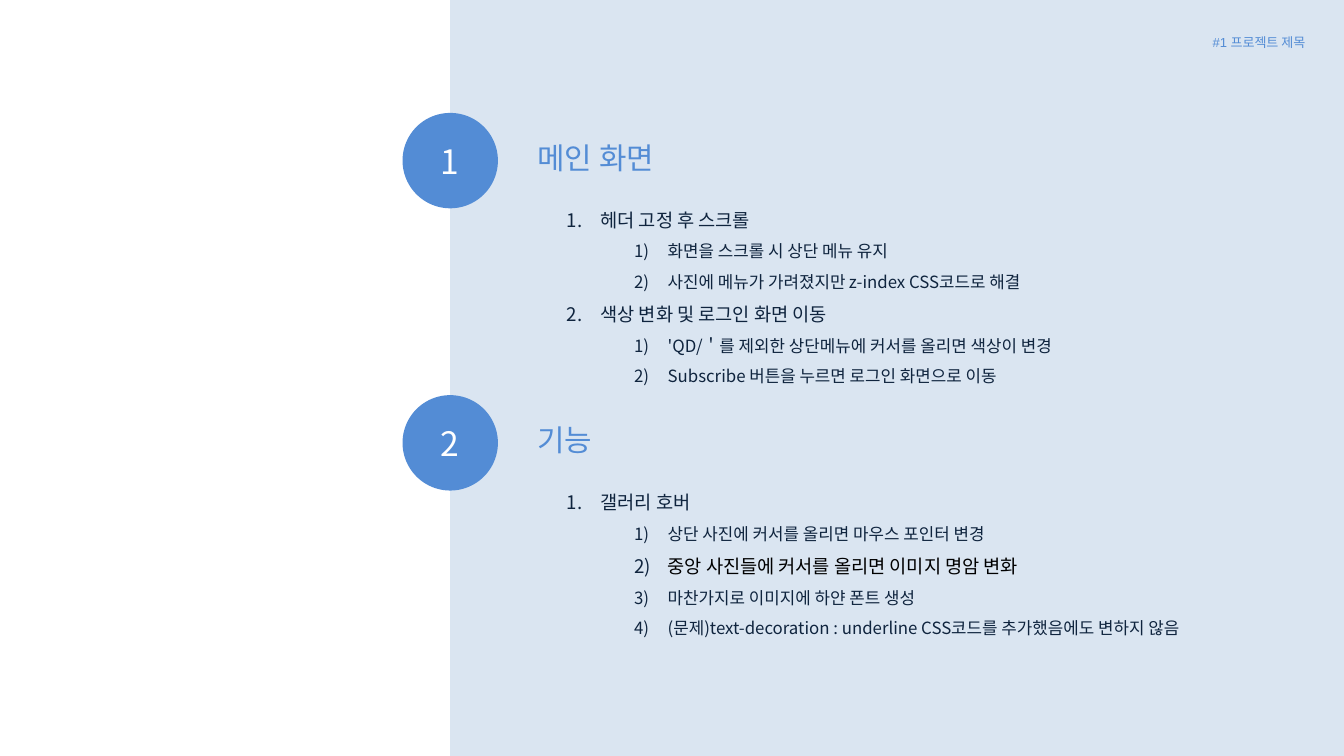
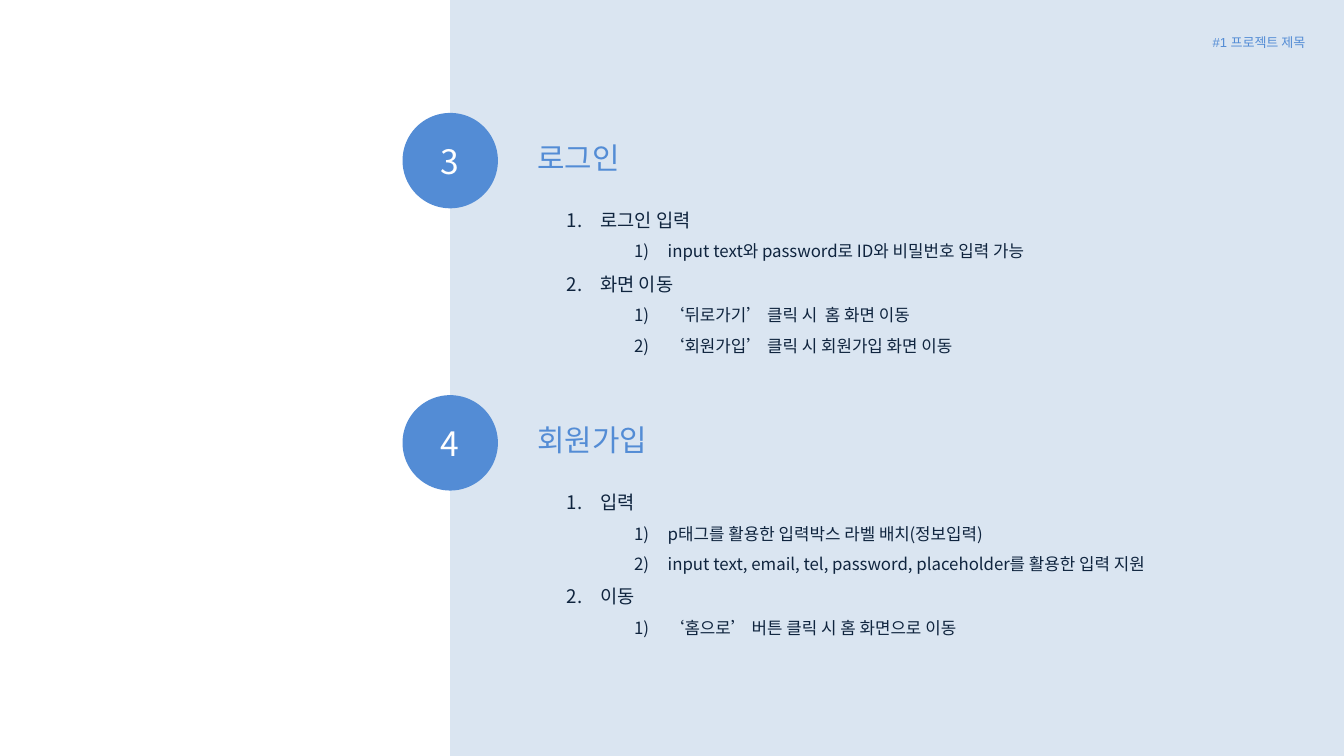
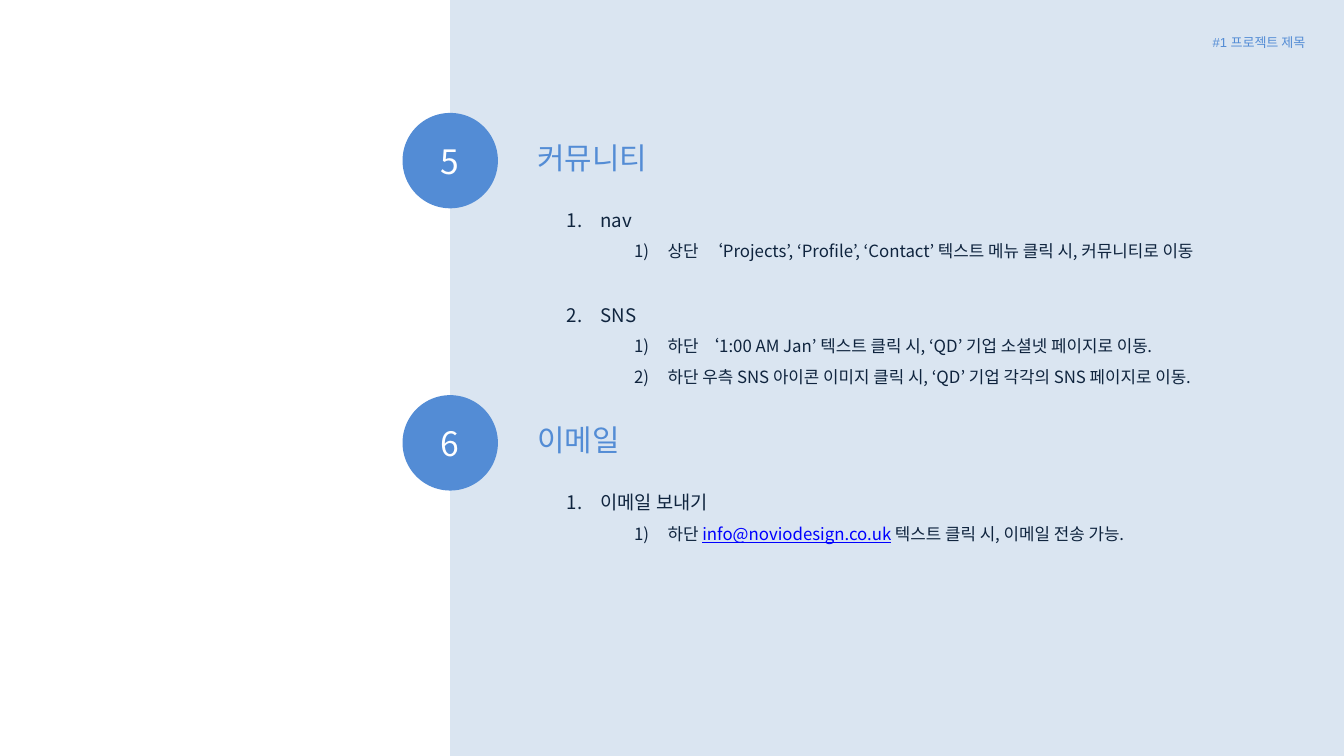
from dataclasses import dataclass

from lxml.etree import SubElement
from pptx import Presentation
from pptx.dml.color import RGBColor
from pptx.enum.shapes import MSO_SHAPE
from pptx.enum.text import MSO_ANCHOR, MSO_AUTO_SIZE, PP_ALIGN
from pptx.oxml.ns import qn
from pptx.util import Inches, Pt

# Shared look
WIDTH = 10
HEIGHT = WIDTH * 9 / 16
WHITE, PANEL, ACCENT, INK = "FFFFFF", "DAE5F1", "538CD5", "0F243E"
BLACK, LINK = "000000", "0000FF"
FONT, TAG_FONT = "Noto Sans CJK KR", "Arial"
TAG = "#1 프로젝트 제목"

# Shared layout: badges are centred on the panel's left edge
PANEL_LEFT = 3.35
BADGE = 0.71
FIRST_TOP, SECTION_PITCH = 0.84, 2.1
HEADING_LEFT, HEADING_DROP = 3.9, 0.15
LIST_LEFT, LIST_DROP = 4.12, 0.58
LINE_HEIGHT = 0.23
TOPIC_SIZE, DETAIL_SIZE = 10, 9
NUMBERING = ("arabicPeriod", "arabicParenR")


@dataclass
class Span:
    text: str
    size: float = DETAIL_SIZE
    color: str = INK
    underline: bool = False


@dataclass
class Topic:
    title: str
    details: list
    gap_after: float = 0


@dataclass
class Section:
    heading: str
    topics: list


SLIDES = [
    [
        Section("메인 화면", [
            Topic("헤더 고정 후 스크롤", [
                "화면을 스크롤 시 상단 메뉴 유지",
                "사진에 메뉴가 가려졌지만 z-index CSS코드로 해결",
            ]),
            Topic("색상 변화 및 로그인 화면 이동", [
                "'QD/＇를 제외한 상단메뉴에 커서를 올리면 색상이 변경",
                "Subscribe 버튼을 누르면 로그인 화면으로 이동",
            ]),
        ]),
        Section("기능", [
            Topic("갤러리 호버", [
                "상단 사진에 커서를 올리면 마우스 포인터 변경",
                [Span("중앙 사진들에 커서를 올리면 이미지 명암 변화", TOPIC_SIZE, BLACK)],
                "마찬가지로 이미지에 하얀 폰트 생성",
                "(문제)text-decoration : underline CSS코드를 추가했음에도 변하지 않음",
            ]),
        ]),
    ],
    [
        Section("로그인", [
            Topic("로그인 입력", ["input text와 password로 ID와 비밀번호 입력 가능"]),
            Topic("화면 이동", [
                "‘뒤로가기’ 클릭 시  홈 화면 이동",
                "‘회원가입’ 클릭 시 회원가입 화면 이동",
            ]),
        ]),
        Section("회원가입", [
            Topic("입력", [
                "p태그를 활용한 입력박스 라벨 배치(정보입력)",
                "input text, email, tel, password, placeholder를 활용한 입력 지원",
            ]),
            Topic("이동", ["‘홈으로’ 버튼 클릭 시 홈 화면으로 이동"]),
        ]),
    ],
    [
        Section("커뮤니티", [
            Topic("nav", [
                "상단  ‘Projects’, ‘Profile’, ‘Contact’ 텍스트 메뉴 클릭 시, 커뮤니티로 이동",
            ], gap_after=16.5),
            Topic("SNS", [
                "하단 ‘1:00 AM Jan’ 텍스트 클릭 시, ‘QD’ 기업 소셜넷 페이지로 이동.",
                "하단 우측 SNS 아이콘 이미지 클릭 시, ‘QD’ 기업 각각의 SNS 페이지로 이동.",
            ]),
        ]),
        Section("이메일", [
            Topic("이메일 보내기", [
                [
                    Span("하단 "),
                    Span("info@noviodesign.co.uk", color=LINK, underline=True),
                    Span(" 텍스트 클릭 시, 이메일 전송 가능."),
                ],
            ]),
        ]),
    ],
]


def rgb(color):
    return RGBColor.from_string(color)


def format_run(run, size, color, font=FONT):
    run.font.size = Pt(size)
    run.font.name = font
    run.font.color.rgb = rgb(color)


def set_text(shape, text, size, color, align, font=FONT):
    paragraph = shape.text_frame.paragraphs[0]
    paragraph.text = text
    paragraph.alignment = align
    format_run(paragraph.runs[0], size, color, font)


def prepare_frame(box):
    frame = box.text_frame
    frame.word_wrap = True
    frame.auto_size = MSO_AUTO_SIZE.SHAPE_TO_FIT_TEXT
    frame.vertical_anchor = MSO_ANCHOR.TOP


def add_text_box(slide, left, top, width, height):
    box = slide.shapes.add_textbox(*map(Inches, (left, top, width, height)))
    prepare_frame(box)
    return box


def add_flat_shape(slide, kind, left, top, width, height, color):
    shape = slide.shapes.add_shape(kind, *map(Inches, (left, top, width, height)))
    shape.fill.solid()
    shape.fill.fore_color.rgb = rgb(color)
    shape.line.fill.background()
    shape.shadow.inherit = False
    return shape


def add_panel(slide):
    panel = add_flat_shape(slide, MSO_SHAPE.RECTANGLE, PANEL_LEFT, 0,
                           WIDTH - PANEL_LEFT, HEIGHT, PANEL)
    # Keep the panel behind the title placeholder
    slide.shapes.title.element.addprevious(panel.element)


def add_badge(slide, number, top):
    badge = add_flat_shape(slide, MSO_SHAPE.OVAL, PANEL_LEFT - BADGE / 2, top,
                           BADGE, BADGE, ACCENT)
    badge.text_frame.vertical_anchor = MSO_ANCHOR.MIDDLE
    set_text(badge, str(number), 18, WHITE, PP_ALIGN.CENTER)


def add_heading(slide, text, top, is_title):
    place = (HEADING_LEFT, top, 4.4, 0.37)
    if is_title:
        box = slide.shapes.title
        box.left, box.top, box.width, box.height = map(Inches, place)
        prepare_frame(box)
    else:
        box = add_text_box(slide, *place)
    set_text(box, text, 16, ACCENT, PP_ALIGN.LEFT)


def add_numbered(paragraph, spans, level):
    paragraph.level = level
    paragraph.line_spacing = 1.5
    properties = paragraph._p.get_or_add_pPr()
    properties.set("marL", str(Inches(0.25 + 0.5 * level)))
    properties.set("indent", str(-Inches(0.25)))
    bullet_color = SubElement(properties, qn("a:buClr"))
    SubElement(bullet_color, qn("a:srgbClr")).set("val", INK)
    SubElement(properties, qn("a:buAutoNum")).set("type", NUMBERING[level])
    for span in spans:
        run = paragraph.add_run()
        run.text = span.text
        format_run(run, span.size, span.color)
        if span.underline:
            run.font.underline = True


def add_topic_list(slide, topics, top):
    lines = sum(1 + len(topic.details) for topic in topics)
    box = add_text_box(slide, LIST_LEFT, top, 5.6, 0.12 + LINE_HEIGHT * lines)
    frame = box.text_frame
    paragraph = frame.paragraphs[0]
    for topic in topics:
        if topic is not topics[0]:
            paragraph = frame.add_paragraph()
        add_numbered(paragraph, [Span(topic.title, TOPIC_SIZE)], 0)
        for detail in topic.details:
            paragraph = frame.add_paragraph()
            spans = [Span(detail)] if isinstance(detail, str) else detail
            add_numbered(paragraph, spans, 1)
        if topic.gap_after:
            paragraph.space_after = Pt(topic.gap_after)


def add_tag(slide):
    box = add_text_box(slide, 8.86, 0.21, 0.95, 0.22)
    set_text(box, TAG, 7, ACCENT, PP_ALIGN.RIGHT, TAG_FONT)


def add_section_slide(deck, sections, first_number):
    slide = deck.slides.add_slide(deck.slide_layouts[5])
    add_panel(slide)
    for row, section in enumerate(sections):
        top = FIRST_TOP + row * SECTION_PITCH
        add_badge(slide, first_number + row, top)
        add_heading(slide, section.heading, top + HEADING_DROP, row == 0)
        add_topic_list(slide, section.topics, top + LIST_DROP)
    add_tag(slide)


def main():
    deck = Presentation()
    deck.slide_width, deck.slide_height = Inches(WIDTH), Inches(HEIGHT)
    number = 1
    for sections in SLIDES:
        add_section_slide(deck, sections, number)
        number += len(sections)
    deck.save("out.pptx")


if __name__ == "__main__":
    main()
